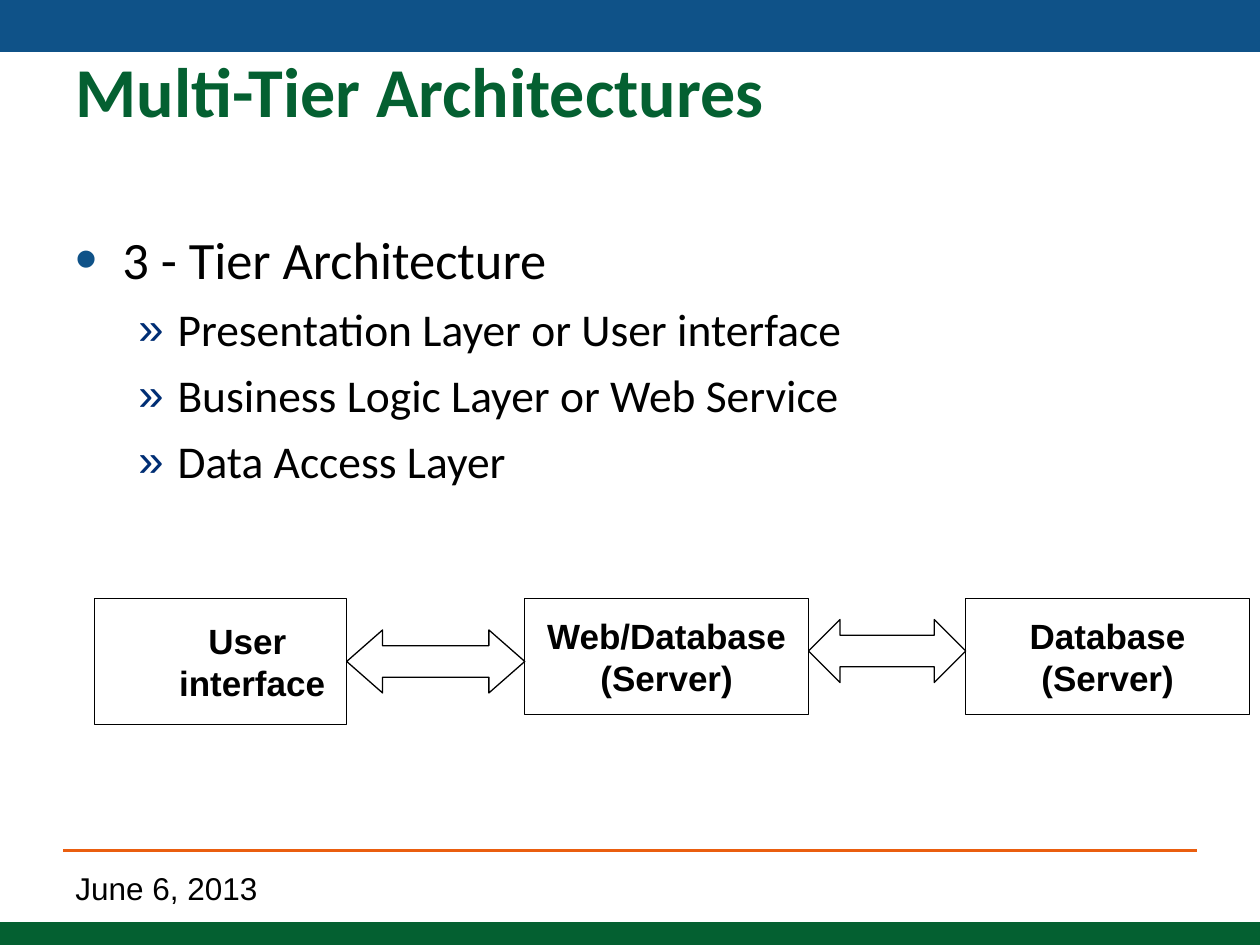
from lxml import etree
from pptx import Presentation
from pptx.dml.color import RGBColor
from pptx.enum.shapes import MSO_CONNECTOR, MSO_SHAPE
from pptx.enum.text import MSO_ANCHOR, MSO_AUTO_SIZE, PP_ALIGN
from pptx.oxml.ns import qn
from pptx.util import Cm, Pt

RECT, ARROW = MSO_SHAPE.RECTANGLE, MSO_SHAPE.LEFT_RIGHT_ARROW
STRAIGHT = MSO_CONNECTOR.STRAIGHT
TOP, MIDDLE, BOTTOM = MSO_ANCHOR.TOP, MSO_ANCHOR.MIDDLE, MSO_ANCHOR.BOTTOM
LEFT, CENTER = PP_ALIGN.LEFT, PP_ALIGN.CENTER
NO_FIT = MSO_AUTO_SIZE.NONE

COLORS = {"green": "046031", "blue": "0F5288", "navy": "002E74",
          "orange": "EA5E0F", "black": "000000", "white": "FFFFFF"}
WIDTH, HEIGHT, MARGIN = 25.4, 19.05, 1.27
CONTENT = WIDTH - 2 * MARGIN

TITLE = {"size": 40, "name": "Calibri", "bold": True, "color": "green"}
TIER = {"size": 20, "name": "Arial", "bold": True}
DATE = {"size": 18, "name": "Arial"}
LEVELS = [
    {"font": {"size": 30, "name": "Calibri"}, "before": 7.5, "left": 0.95,
     "hang": 0.95, "char": "•", "color": "blue", "percent": 120},
    {"font": {"size": 26, "name": "Calibri"}, "before": 6.5, "left": 2.06,
     "hang": 0.79, "char": "»", "color": "navy", "percent": 100},
]
BULLETS = [(0, "3 - Tier Architecture"),
           (1, "Presentation Layer or User interface"),
           (1, "Business Logic Layer or Web Service"),
           (1, "Data Access Layer")]

# left, width, height, text indent, lines
TIERS = [(1.91, 5.08, 2.54, 1.27, ["User ", "interface"]),
         (10.58, 5.72, 2.33, 0, ["Web/Database", "(Server)"]),
         (19.47, 5.72, 2.33, 0, ["Database", "(Server)"])]
TIER_TOP = 12.07
# top and head length of the arrow after each tier
ARROWS = [(12.7, 0.57), (12.49, 0.5)]


def rgb(name):
    """Return a named colour."""
    return RGBColor.from_string(COLORS[name])


class SlideBuilder:
    """Holds the style and the current slide."""

    def __init__(self, prs):
        self.s = prs.slides.add_slide(prs.slide_layouts[5])

    def paragraph(self, tf, i, text, font, align=LEFT, indent=0):
        """Write paragraph i of a text frame."""
        p = tf.paragraphs[0] if i == 0 else tf.add_paragraph()
        p.alignment = align
        if indent:
            p._p.get_or_add_pPr().set("marL", str(Cm(indent)))
        r = p.add_run()
        r.text = text
        values = {"bold": False, "color": "black", **font}
        values["size"] = Pt(values["size"])
        r.font.color.rgb = rgb(values.pop("color"))
        for key, value in values.items():
            setattr(r.font, key, value)
        return p

    def frame(self, sp, anchor, wrap=True):
        """Set up the text frame of a shape."""
        tf = sp.text_frame
        for key, value in {"auto_size": NO_FIT, "word_wrap": wrap,
                           "vertical_anchor": anchor}.items():
            setattr(tf, key, value)
        return tf

    def title(self, text, box):
        """Place and fill the title placeholder."""
        sp = self.s.shapes.title
        sp.left, sp.top, sp.width, sp.height = map(Cm, box)
        self.paragraph(self.frame(sp, TOP), 0, text, TITLE)

    def text_box(self, box, anchor):
        """Add a text box and return its frame."""
        return self.frame(self.s.shapes.add_textbox(*map(Cm, box)), anchor)

    def bullets(self, items, box):
        """Add a two-level bulleted list."""
        tf = self.text_box(box, TOP)
        for i, (level, text) in enumerate(items):
            style = LEVELS[level]
            p = self.paragraph(tf, i, text, style["font"], indent=style["left"])
            p.level = level
            p.space_before = Pt(style["before"])
            pPr = p._p.get_or_add_pPr()
            pPr.set("indent", str(-Cm(style["hang"])))
            clr = etree.SubElement(pPr, qn("a:buClr"))
            etree.SubElement(clr, qn("a:srgbClr"), val=COLORS[style["color"]])
            etree.SubElement(pPr, qn("a:buSzPct"), val=str(style["percent"] * 1000))
            etree.SubElement(pPr, qn("a:buFont"), typeface="Arial")
            etree.SubElement(pPr, qn("a:buChar"), char=style["char"])

    def shape(self, kind, box, fill="white", line="black"):
        """Add a filled preset shape, outlined if a line colour is given."""
        sp = self.s.shapes.add_shape(kind, *map(Cm, box))
        sp.shadow.inherit = False
        sp.fill.solid()
        sp.fill.fore_color.rgb = rgb(fill)
        if line:
            sp.line.color.rgb = rgb(line)
            sp.line.width = Pt(0.75)
        else:
            sp.line.fill.background()
        return sp

    def tier(self, box, lines, indent):
        """Add a box for one tier."""
        tf = self.frame(self.shape(RECT, box), MIDDLE, wrap=False)
        for i, text in enumerate(lines):
            p = self.paragraph(tf, i, text, TIER, CENTER, indent)
            p.level = 1 if indent else 0

    def arrow(self, box, head):
        """Add a two-way block arrow."""
        sp = self.shape(ARROW, box)
        sp.adjustments[0], sp.adjustments[1] = 0.5, head

    def rule(self, left, right, y):
        """Add a horizontal line."""
        line = self.s.shapes.add_connector(STRAIGHT, Cm(left), Cm(y), Cm(right), Cm(y))
        line.line.color.rgb = rgb("orange")
        line.line.width = Pt(1.5)
        etree.SubElement(line._element.spPr, qn("a:effectLst"))


def main():
    """Build and save the slide."""
    prs = Presentation()
    prs.slide_width, prs.slide_height = Cm(WIDTH), Cm(HEIGHT)
    b = SlideBuilder(prs)
    b.shape(RECT, (0, 18.59, WIDTH, 0.46), "green", None)
    b.shape(RECT, (0, -0.2, WIDTH, 1.25), "blue", None)
    b.rule(MARGIN, WIDTH - MARGIN, 17.15)
    b.title("Multi-Tier Architectures", (MARGIN, 0.84, CONTENT, 3.81))
    b.bullets(BULLETS, (MARGIN, 4.45, CONTENT, 12.57))
    for left, width, height, indent, lines in TIERS:
        b.tier((left, TIER_TOP, width, height), lines, indent)
    for tier, after, (top, head) in zip(TIERS, TIERS[1:], ARROWS):
        start = tier[0] + tier[1]
        b.arrow((start, top, after[0] - start, 1.27), head)
    date = b.text_box((MARGIN, 17.15, 5.92, 1.27), BOTTOM)
    b.paragraph(date, 0, "June 6, 2013", DATE).line_spacing = 0.93
    prs.save("out.pptx")


main()
